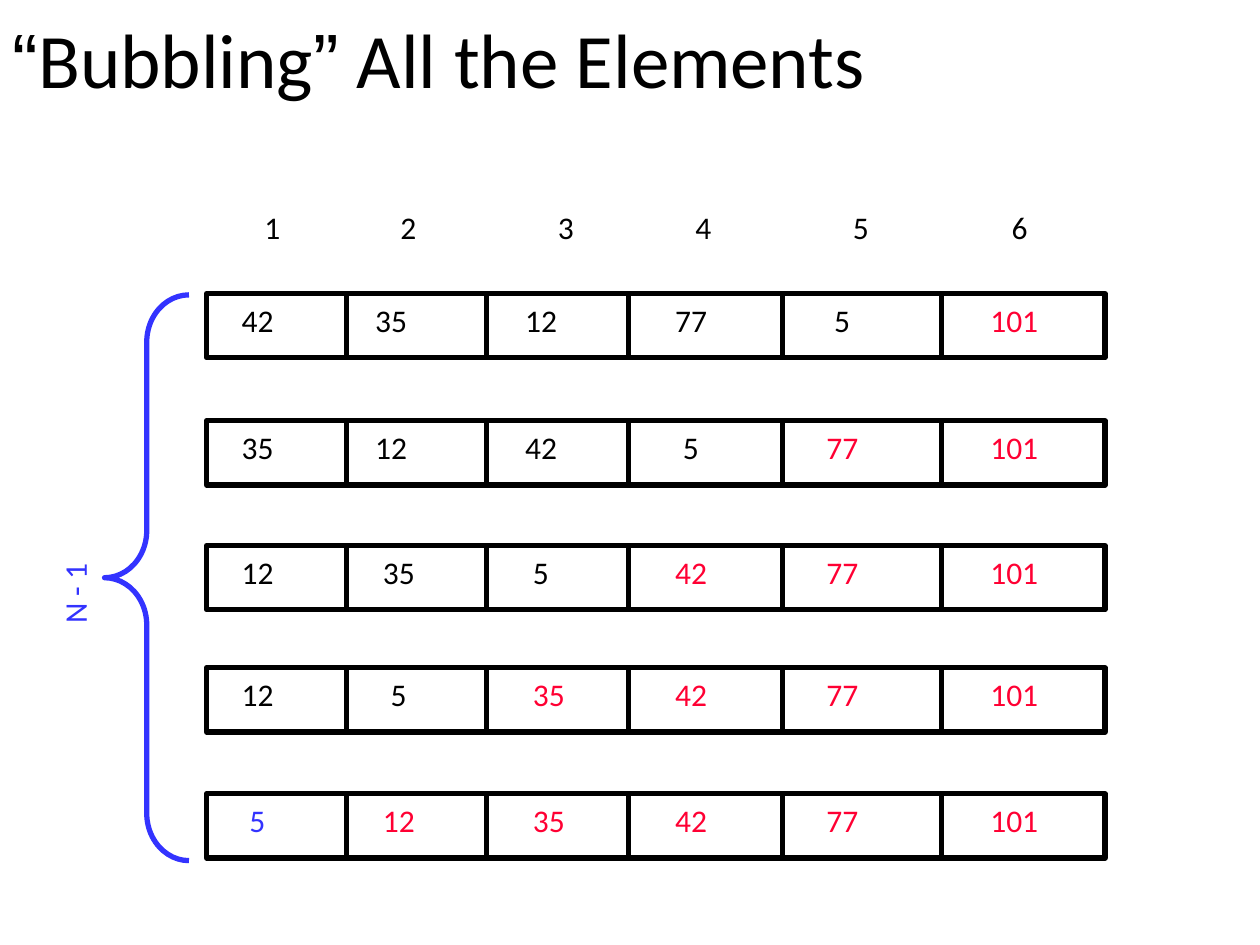
from dataclasses import dataclass

from lxml import etree
from pptx import Presentation
from pptx.dml.color import RGBColor
from pptx.enum import shapes, text
from pptx.oxml import ns
from pptx.util import Inches, Pt


@dataclass(frozen=True)
class Theme:
    ink: RGBColor = RGBColor(0x00, 0x00, 0x00)
    settled: RGBColor = RGBColor(0xFF, 0x00, 0x33)
    accent: RGBColor = RGBColor(0x33, 0x33, 0xFF)
    body_font: str = "Calibri"
    quote_font: str = "Arial"
    title_size: int = 44
    body_size: int = 18
    line_width: int = 3


ROW_LEFT, ROW_WIDTH, ROW_HEIGHT = 1.64, 7.13, 0.51
DIVIDERS = (2.75, 3.86, 4.99, 6.21, 7.47)
NUMBER_LEFTS = (1.82, 2.88, 4.07, 5.26, 6.4, 7.7)
INDENT_STEP = 0.06
INDEX_TABS = (1.08, 2.33, 3.42, 4.67, 5.93)

# Each pass: top, values, indent steps, and how many leading values are unsettled.
PASSES = (
    (2.33, (42, 35, 12, 77, 5, 101), (0, 0, 0, 0, 2, 1), 5),
    (3.34, (35, 12, 42, 5, 77, 101), (0, 0, 0, 1, 1, 1), 4),
    (4.33, (12, 35, 5, 42, 77, 101), (0, 1, 1, 0, 1, 1), 3),
    (5.3, (12, 5, 35, 42, 77, 101), (0, 2, 1, 0, 1, 1), 2),
    (6.3, (5, 12, 35, 42, 77, 101), (1, 1, 1, 0, 1, 1), 1),
)


class SlideBuilder:
    def __init__(self, page, theme):
        self.page = page
        self.theme = theme

    def title(self, spans):
        """Fill the title placeholder from (wording, font name) pairs."""
        box = self.page.shapes.title
        box.left, box.top, box.width, box.height = map(Inches, (0, 0, 10, 0.92))
        frame = box.text_frame
        frame.auto_size = text.MSO_AUTO_SIZE.NONE
        frame.vertical_anchor = text.MSO_ANCHOR.MIDDLE
        para = frame.paragraphs[0]
        para.alignment = text.PP_ALIGN.LEFT
        para.font.size = Pt(self.theme.title_size)
        para.font.color.rgb = self.theme.ink
        for wording, font_name in spans:
            span = para.add_run()
            span.text = wording
            span.font.name = font_name

    def label(self, parent, wording, area, color, indent=0):
        box = parent.shapes.add_textbox(*map(Inches, area))
        frame = box.text_frame
        frame.word_wrap = True
        frame.margin_left = Inches(0.1 + indent)
        para = frame.paragraphs[0]
        para.text = wording
        para.font.name = self.theme.body_font
        para.font.size = Pt(self.theme.body_size)
        para.font.color.rgb = color
        return box

    def tabbed_label(self, wordings, area, stops):
        box = self.label(self.page, "\t".join(wordings), area, self.theme.ink)
        properties = box.text_frame.paragraphs[0]._p.get_or_add_pPr()
        tabs = etree.Element(ns.qn("a:tabLst"))
        for stop in stops:
            etree.SubElement(tabs, ns.qn("a:tab"), pos=str(Inches(stop)), algn="l")
        properties.insert(0, tabs)

    def outline(self, parent, kind, area, color):
        shape = parent.shapes.add_shape(kind, *map(Inches, area))
        shape.shadow.inherit = False
        shape.fill.background()
        shape.line.color.rgb = color
        shape.line.width = Pt(self.theme.line_width)
        return shape

    def divider(self, parent, x, top, bottom):
        line = parent.shapes.add_connector(
            shapes.MSO_CONNECTOR.STRAIGHT, *map(Inches, (x, top, x, bottom)))
        line.line.color.rgb = self.theme.ink
        line.line.width = Pt(self.theme.line_width)
        etree.SubElement(line._element.spPr, ns.qn("a:effectLst"))

    def array_row(self, top, values, indents, unsettled):
        group = self.page.shapes.add_group_shape()
        self.outline(group, shapes.MSO_SHAPE.RECTANGLE,
                     (ROW_LEFT, top, ROW_WIDTH, ROW_HEIGHT), self.theme.ink)
        for x in DIVIDERS:
            self.divider(group, x, top, top + ROW_HEIGHT)
        for column, (value, left, steps) in enumerate(zip(values, NUMBER_LEFTS, indents)):
            color = self.theme.ink if column < unsettled else self.theme.settled
            if unsettled == 1 and column == 0:
                color = self.theme.accent
            width = 0.85 if value > 99 else 0.66
            self.label(group, str(value), (left, top + 0.01, width, 0.5),
                       color, steps * INDENT_STEP)

    def pass_count(self, wording):
        """Brace spanning all passes, with its upright label."""
        group = self.page.shapes.add_group_shape()
        brace = self.outline(group, shapes.MSO_SHAPE.LEFT_BRACE,
                             (0.83, 2.34, 0.67, 4.49), self.theme.accent)
        brace.adjustments[0] = 0.56
        brace.adjustments[1] = 0.5
        label = self.label(group, wording, (0.18, 4.34, 0.92, 0.5), self.theme.accent)
        label.rotation = 270


def main():
    deck = Presentation()
    deck.slide_width, deck.slide_height = Inches(10), Inches(7.5)
    theme = Theme()
    builder = SlideBuilder(deck.slides.add_slide(deck.slide_layouts[5]), theme)

    builder.title((("“", theme.quote_font), ("Bubbling", theme.body_font),
                   ("”", theme.quote_font), (" All the Elements", theme.body_font)))
    for array_pass in PASSES:
        builder.array_row(*array_pass)
    builder.pass_count("N - 1")
    builder.tabbed_label("123456", (2, 1.6, 6.34, 0.4), INDEX_TABS)
    deck.save("out.pptx")


if __name__ == "__main__":
    main()
